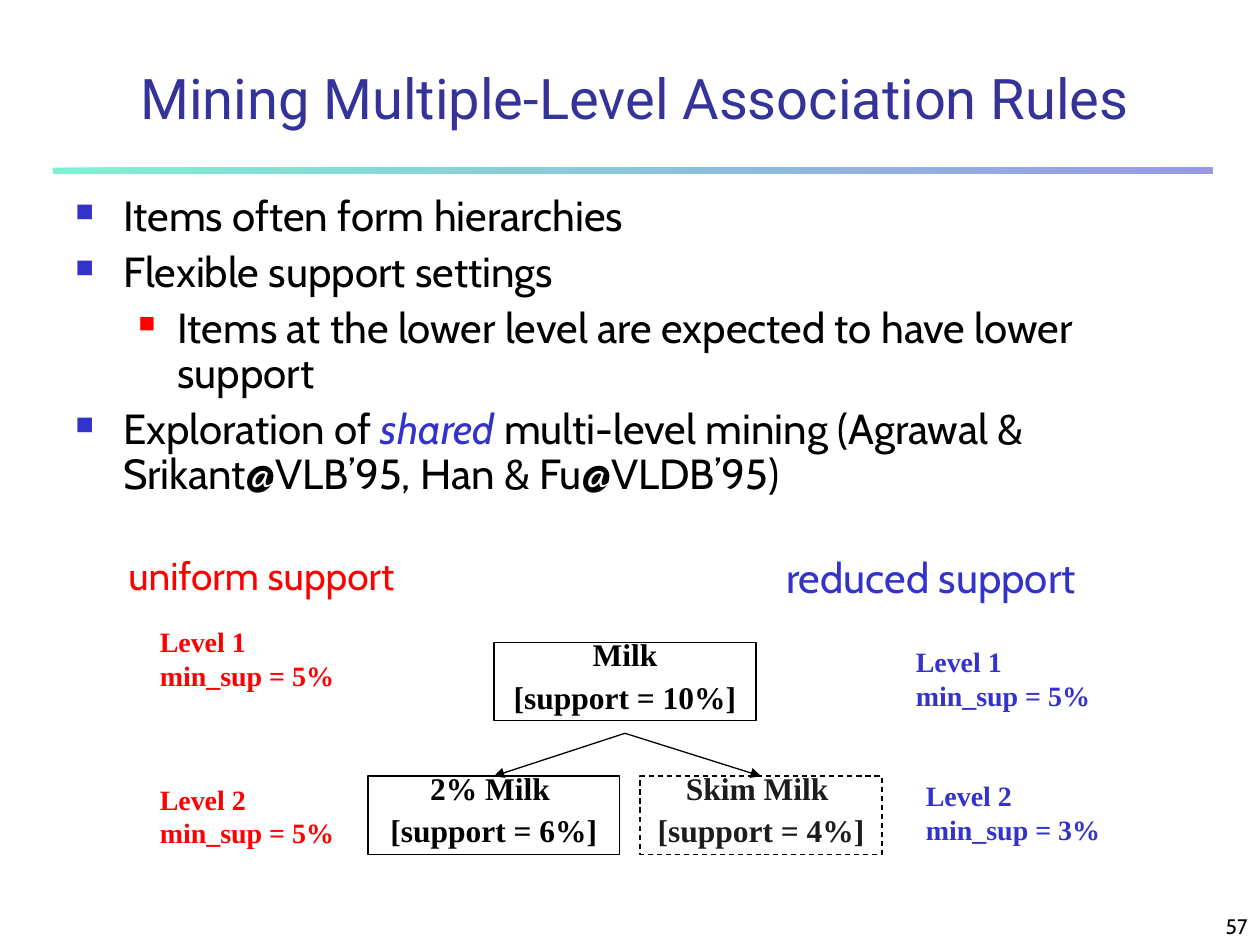
from dataclasses import dataclass

from lxml.etree import SubElement
from pptx import Presentation
from pptx.dml.color import RGBColor as RGB
from pptx.enum.dml import MSO_LINE_DASH_STYLE as DASH
from pptx.enum.shapes import MSO_CONNECTOR as CONNECTOR, MSO_SHAPE as SHAPE
from pptx.enum.text import MSO_ANCHOR as ANCHOR, PP_ALIGN as ALIGN
from pptx.oxml.ns import qn
from pptx.util import Inches, Pt


@dataclass(frozen=True)
class Theme:
    """Colours, fonts and type sizes of the slide."""
    title: str = "333399"
    ink: str = "000000"
    soft_ink: str = "1C1C1C"
    paper: str = "FFFFFF"
    red: str = "FF0000"
    blue: str = "3333CC"
    mint: str = "00E4A8"
    title_font: str = "Roboto"
    body_font: str = "Cabin"
    tree_font: str = "Times New Roman"
    title_size: float = 32
    body_size: float = 24
    uniform_size: float = 22.2
    node_size: float = 18
    level_size: float = 16
    number_size: float = 12


THEME = Theme()


def rgb(color):
    """Turn a hex string into a colour."""
    return RGB.from_string(color)


def add_alpha(shape, percent):
    """Make the fill colours of a shape partly transparent."""
    fill = shape._element.spPr.find(qn("a:gradFill"))
    if fill is None:
        fill = shape._element.spPr.find(qn("a:solidFill"))
    for color in fill.iter(qn("a:srgbClr")):
        SubElement(color, qn("a:alpha"), val=str(percent * 1000))


def add_bullet(paragraph, color, percent, left, hang):
    """Give a paragraph a square bullet with a hanging indent."""
    props = paragraph._p.get_or_add_pPr()
    props.set("marL", str(Inches(left)))
    props.set("indent", str(-Inches(hang)))
    bullet_color = SubElement(props, qn("a:buClr"))
    SubElement(bullet_color, qn("a:srgbClr"), val=color)
    SubElement(props, qn("a:buSzPct"), val=str(percent * 1000))
    SubElement(props, qn("a:buChar"), char="■")


def write(paragraph, text, *, size, font=THEME.body_font, color=THEME.ink,
          bold=False, italic=False, align=None, spacing=None, before=0):
    """Append a formatted run and set the format of its paragraph."""
    run = paragraph.add_run()
    run.text = text
    run.font.size, run.font.name = Pt(size), font
    run.font.color.rgb = rgb(color)
    run.font.bold, run.font.italic = bold, italic
    paragraph.alignment = align
    paragraph.line_spacing = spacing
    paragraph.space_before = Pt(before)


def write_lines(frame, lines, before=0, **style):
    """Write each line as a paragraph, spaced from the one above."""
    for index, line in enumerate(lines):
        paragraph = frame.add_paragraph() if index else frame.paragraphs[0]
        write(paragraph, line, before=before if index else 0, **style)


def add_text(slide, box, lines, *, wrap=True, anchor=ANCHOR.TOP, **style):
    """Place a text box holding the given lines."""
    frame = slide.shapes.add_textbox(*map(Inches, box)).text_frame
    frame.word_wrap, frame.vertical_anchor = wrap, anchor
    write_lines(frame, lines, **style)
    return frame


def add_header(slide, box):
    """Place the title and the gradient rule under it."""
    left, top, width, height = box
    rule = slide.shapes.add_shape(
        SHAPE.RECTANGLE, Inches(left), Inches(top + height - 0.05),
        Inches(width), Inches(0.05))
    rule.shadow.inherit = False
    rule.line.fill.background()
    rule.fill.gradient()
    rule.fill.gradient_angle = 0
    for stop, color in zip(rule.fill.gradient_stops, (THEME.mint, THEME.blue)):
        stop.color.rgb = rgb(color)
    add_alpha(rule, 50)
    add_text(slide, (left + 0.33, top, 8.58, 0.67),
             ["Mining Multiple-Level Association Rules"], anchor=ANCHOR.BOTTOM,
             size=THEME.title_size, font=THEME.title_font, color=THEME.title,
             align=ALIGN.CENTER)


def add_points(slide, box):
    """Place the bulleted points."""
    points = [
        (0, ["Items often form hierarchies"]),
        (0, ["Flexible support settings"]),
        (1, ["Items at the lower level are expected to have lower support"]),
        (0, ["Exploration of ", "shared",
             " multi-level mining (Agrawal & Srikant@VLB’95, Han & Fu@VLDB’95)"]),
    ]
    bullets = [(THEME.blue, 60, 0.38, 0.38), (THEME.red, 55, 0.81, 0.31)]
    frame = add_text(slide, box, [])
    for index, (level, parts) in enumerate(points):
        paragraph = frame.add_paragraph() if index else frame.paragraphs[0]
        paragraph.level = level
        add_bullet(paragraph, *bullets[level])
        for part in parts:
            shared = part == "shared"
            write(paragraph, part, size=THEME.body_size, italic=shared,
                  color=THEME.blue if shared else THEME.ink,
                  spacing=0.9, before=6 if index else 0)


def add_node(slide, box, lines, color=THEME.ink, dashed=False):
    """Place one item of the hierarchy."""
    node = slide.shapes.add_shape(SHAPE.RECTANGLE, *map(Inches, box))
    node.shadow.inherit = False
    node.fill.solid()
    node.fill.fore_color.rgb = rgb(THEME.paper)
    node.line.color.rgb = rgb(THEME.ink)
    node.line.width = Pt(0.75)
    if dashed:
        node.line.dash_style = DASH.DASH
        add_alpha(node, 50)
    node.text_frame.vertical_anchor = ANCHOR.TOP
    node.text_frame.word_wrap = True
    write_lines(node.text_frame, lines, before=11.2, size=THEME.node_size,
                font=THEME.tree_font, color=color, bold=True,
                align=ALIGN.CENTER, spacing=0.6)
    return node


def add_branch(slide, start, child):
    """Draw an arrow from a point to the top of a child item."""
    x, y = map(Inches, start)
    branch = slide.shapes.add_connector(CONNECTOR.STRAIGHT, x, y, x, y)
    branch.end_connect(child, 0)
    branch.line.color.rgb = rgb(THEME.ink)
    branch.line.width = Pt(0.75)
    SubElement(branch.line._get_or_add_ln(), qn("a:tailEnd"), type="triangle")
    SubElement(branch._element.spPr, qn("a:effectLst"))


def add_tree(slide, box):
    """Place the milk hierarchy with its branches."""
    left, top, width, height = box
    row = top + height - 0.62
    add_node(slide, (left + 1, top, 2.08, 0.62), ["Milk", "[support = 10%]"])
    children = [
        add_node(slide, (left, row, 2, 0.62), ["2% Milk ", "[support = 6%]"]),
        add_node(slide, (left + width - 1.92, row, 1.92, 0.62),
                 ["Skim Milk ", "[support = 4%]"], THEME.soft_ink, dashed=True),
    ]
    for child in children:
        add_branch(slide, (left + width / 2, top + 0.72), child)


def add_support(slide, box, heading, size, color, levels):
    """Place a support heading and its threshold for each level."""
    left, top, width, height = box
    add_text(slide, (left, top, width, height), [heading], size=size, color=color)
    for number, (dx, dy, threshold) in enumerate(levels, 1):
        add_text(slide, (left + dx, top + dy, 1.58, 0.64),
                 [f"Level {number}", f"min_sup = {threshold}"], wrap=False,
                 size=THEME.level_size, font=THEME.tree_font, color=color, bold=True)


def main():
    """Build the slide and save it."""
    deck = Presentation()
    deck.slide_width, deck.slide_height = Inches(10), Inches(7.5)
    slide = deck.slides.add_slide(deck.slide_layouts[6])
    add_header(slide, (0.42, 0.42, 9.2, 0.96))
    add_points(slide, (0.5, 1.5, 9.17, 2.58))
    add_support(slide, (0.92, 4.33, 2.67, 0.58), "uniform support",
                THEME.uniform_size, THEME.red, [(0.25, 0.58, "5%"), (0.25, 1.83, "5%")])
    add_tree(slide, (2.92, 5.1, 4.08, 1.68))
    add_support(slide, (6.14, 4.33, 2.81, 0.5), "reduced support",
                THEME.body_size, THEME.blue, [(1.03, 0.74, "5%"), (1.11, 1.8, "3%")])
    add_text(slide, (7.92, 7.08, 2.08, 0.42), ["57"], anchor=ANCHOR.BOTTOM,
             size=THEME.number_size, align=ALIGN.RIGHT)
    deck.save("out.pptx")


if __name__ == "__main__":
    main()
